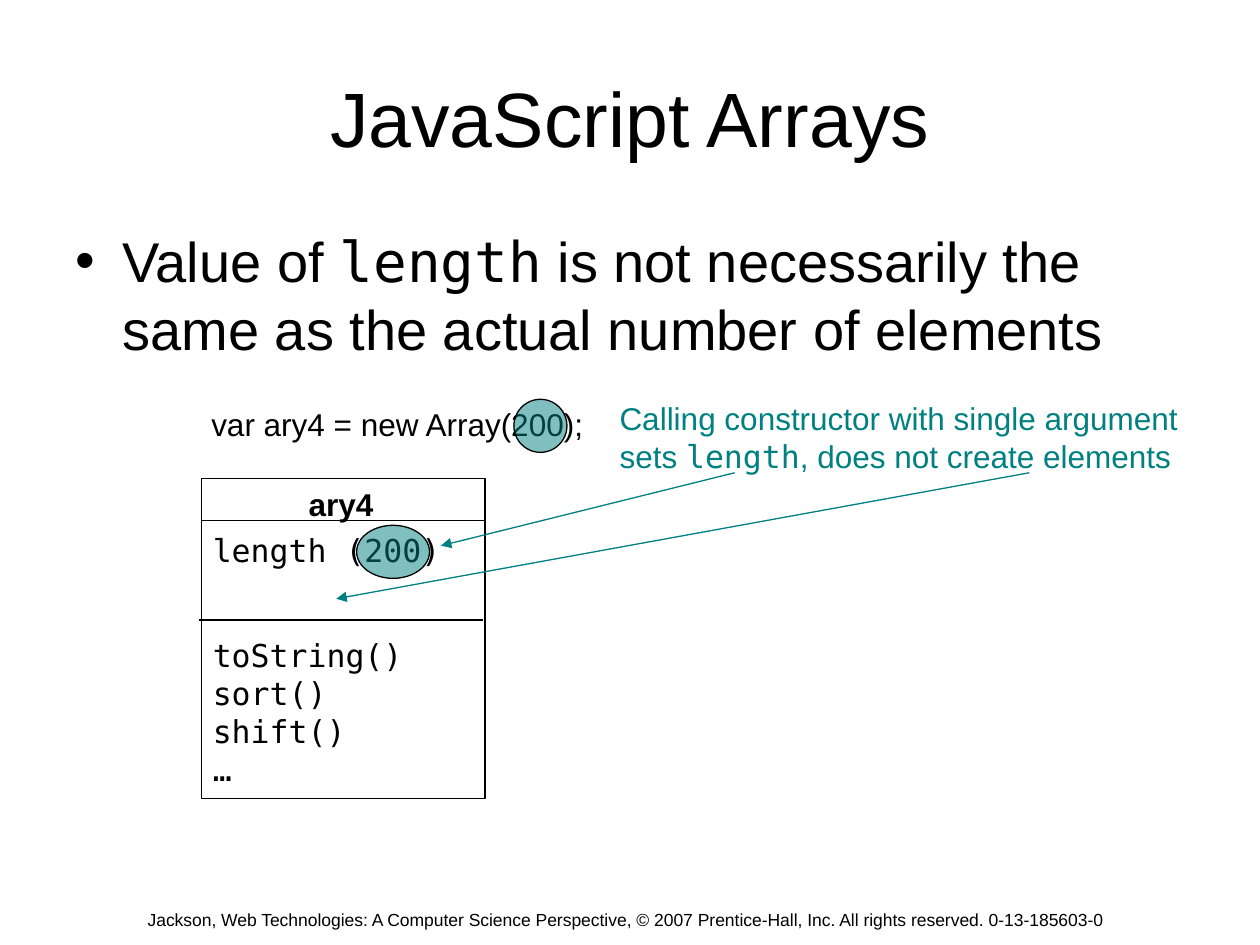
import dataclasses
import typing

import lxml.etree
import pptx
import pptx.dml.color
import pptx.enum.dml
import pptx.enum.shapes
import pptx.enum.text
import pptx.oxml.ns
import pptx.util

Cm = pptx.util.Cm
Align = pptx.enum.text.PP_ALIGN
Shape = pptx.enum.shapes.MSO_SHAPE
HUES = {"ink": "000000", "teal": "008080"}
SANS = "Arial"
MONO = "DejaVu Sans Mono"
WIDTH = pptx.util.Pt(0.75)


@dataclasses.dataclass
class Run:
    text: str
    font: str = SANS
    bold: bool = False


@dataclasses.dataclass
class Label:
    box: tuple[float, float, float, float]
    rows: list[list[Run]]
    size: int = 18
    hue: str = "ink"
    wrap: bool = False
    align: typing.Any = Align.LEFT


@dataclasses.dataclass
class Line:
    start: tuple[float, float]
    end: tuple[float, float]
    hue: str = "ink"
    arrow: bool = False


@dataclasses.dataclass
class Spot:
    kind: typing.Any
    box: tuple[float, float, float, float]
    fill: bool = False


FOOT = Label((1.27, 18.21, 22.66, 0.46), [[Run(
    "Jackson, Web Technologies: A Computer Science Perspective, "
    "© 2007 Prentice-Hall, Inc. All rights reserved. 0-13-185603-0")]],
    size=10, wrap=True, align=Align.CENTER)
TITLE = Label((1.27, 0.76, 22.86, 3.18), [[Run("JavaScript Arrays")]],
              size=44, wrap=True, align=Align.CENTER)
POINT = Label((1.27, 4.45, 22.86, 12.57), [[
    Run("Value of "), Run("length", MONO),
    Run(" is not necessarily the same as the actual number of elements")]],
    size=32, wrap=True)
CODE = Label((4.01, 8.05, 8.03, 1.02), [[Run("var ary4 = new Array(200);")]])
FRAME = Spot(Shape.RECTANGLE, (4.06, 9.65, 5.72, 6.45))
RULES = [Line((4.06, 10.49), (9.78, 10.49)), Line((4.01, 12.5), (9.73, 12.5))]
TEXTS = [
    Label((5.97, 9.65, 1.8, 1.02), [[Run("ary4", bold=True)]]),
    Label((4.04, 10.59, 5.08, 1.02), [[Run("length (200)", MONO)]]),
    Label((4.04, 12.7, 4.32, 3.3),
          [[Run(name, MONO)] for name in ("toString()", "sort()", "shift()", "…")]),
    Label((12.24, 7.92, 11.76, 1.78), [
        [Run("Calling constructor with single argument")],
        [Run("sets "), Run("length", MONO), Run(", does not create elements")],
    ], hue="teal"),
]
MARKS = [
    Line((14.81, 9.53), (8.89, 11), "teal", True),
    Spot(Shape.OVAL, (7.19, 10.59, 1.47, 1.07), True),
    Line((20.75, 9.53), (6.78, 12.07), "teal", True),
    Spot(Shape.OVAL, (10.36, 8.05, 1.07, 1.07), True),
]


def tint(hue: str) -> pptx.dml.color.RGBColor:
    return pptx.dml.color.RGBColor.from_string(HUES[hue])


def child(node: typing.Any, tag: str, **attrs: str) -> typing.Any:
    return lxml.etree.SubElement(node, pptx.oxml.ns.qn(tag), attrs)


def fill_text(shape: typing.Any, label: Label) -> None:
    frame = shape.text_frame
    frame.word_wrap = label.wrap
    frame.auto_size = pptx.enum.text.MSO_AUTO_SIZE.NONE
    for i, row in enumerate(label.rows):
        para = frame.add_paragraph() if i else frame.paragraphs[0]
        para.alignment = label.align
        for part in row:
            run = para.add_run()
            run.text = part.text
            run.font.name = part.font
            run.font.size = pptx.util.Pt(label.size)
            run.font.bold = part.bold
            run.font.color.rgb = tint(label.hue)


def add_text(slide: typing.Any, label: Label) -> typing.Any:
    shape = slide.shapes.add_textbox(*map(Cm, label.box))
    fill_text(shape, label)
    return shape


def add_title(slide: typing.Any, label: Label) -> None:
    title = slide.shapes.title
    title.left, title.top, title.width, title.height = map(Cm, label.box)
    fill_text(title, label)
    title.text_frame.vertical_anchor = pptx.enum.text.MSO_ANCHOR.MIDDLE


def add_point(slide: typing.Any, label: Label) -> None:
    shape = add_text(slide, label)
    props = shape.text_frame.paragraphs[0]._p.get_or_add_pPr()
    props.set("marL", str(Cm(0.95)))
    props.set("indent", str(Cm(-0.95)))
    child(props, "a:buFont", typeface=SANS)
    child(props, "a:buChar", char="•")


def add_line(slide: typing.Any, line: Line) -> None:
    ends = map(Cm, line.start + line.end)
    shape = slide.shapes.add_connector(
        pptx.enum.shapes.MSO_CONNECTOR.STRAIGHT, *ends)
    shape.line.color.rgb = tint(line.hue)
    shape.line.width = WIDTH
    if line.arrow:
        child(shape.line._get_or_add_ln(), "a:tailEnd", type="triangle")
    child(shape._element.spPr, "a:effectLst")


def add_spot(slide: typing.Any, spot: Spot) -> None:
    shape = slide.shapes.add_shape(spot.kind, *map(Cm, spot.box))
    shape.shadow.inherit = False
    shape.line.color.rgb = tint("ink")
    shape.line.width = WIDTH
    if spot.fill:
        shape.fill.solid()
        shape.fill.fore_color.rgb = tint("teal")
        hue = shape._element.spPr.find(".//" + pptx.oxml.ns.qn("a:srgbClr"))
        child(hue, "a:alpha", val="50000")
    else:
        shape.fill.background()


def main() -> None:
    deck = pptx.Presentation()
    deck.slide_width, deck.slide_height = Cm(25.4), Cm(19.05)
    slide = deck.slides.add_slide(deck.slide_layouts[5])
    add_text(slide, FOOT)
    add_title(slide, TITLE)
    add_point(slide, POINT)
    add_text(slide, CODE)
    add_spot(slide, FRAME)
    for rule in RULES:
        add_line(slide, rule)
    for label in TEXTS:
        add_text(slide, label)
    for mark in MARKS:
        if isinstance(mark, Line):
            add_line(slide, mark)
        else:
            add_spot(slide, mark)
    deck.save("out.pptx")


if __name__ == "__main__":
    main()
